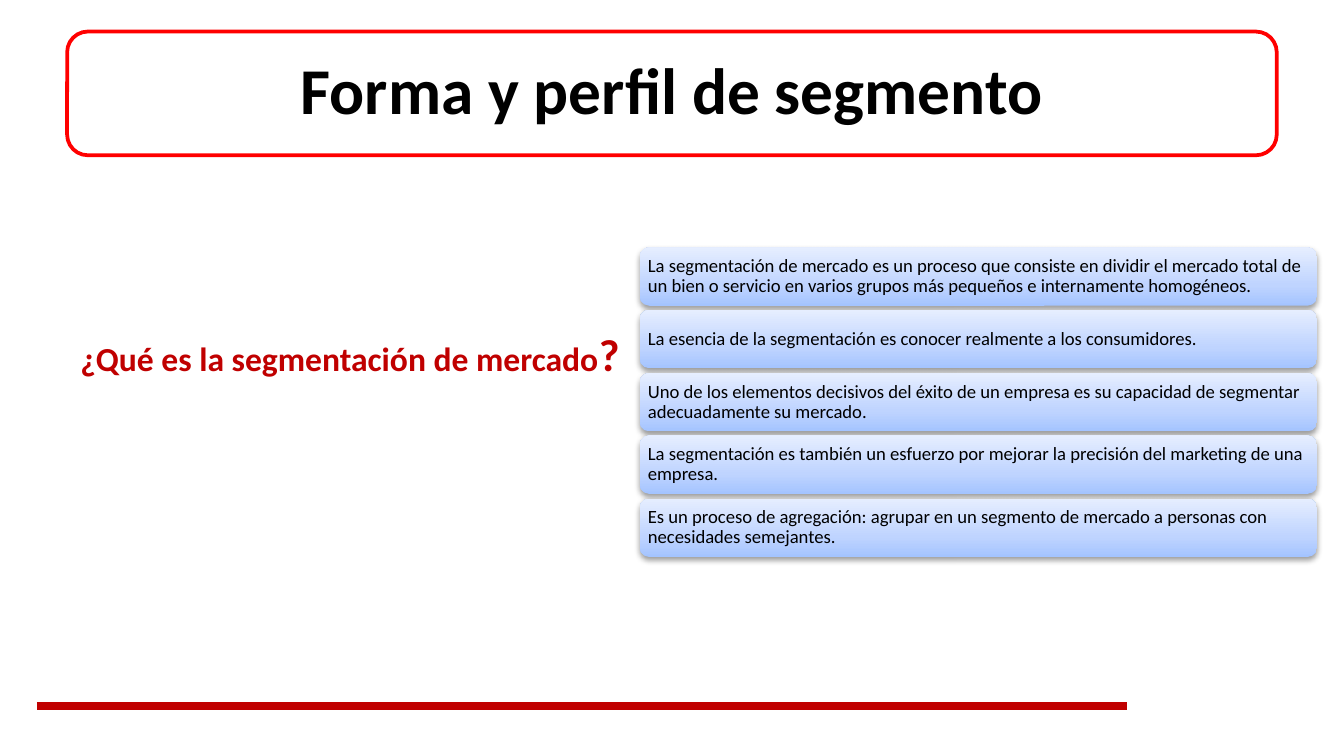
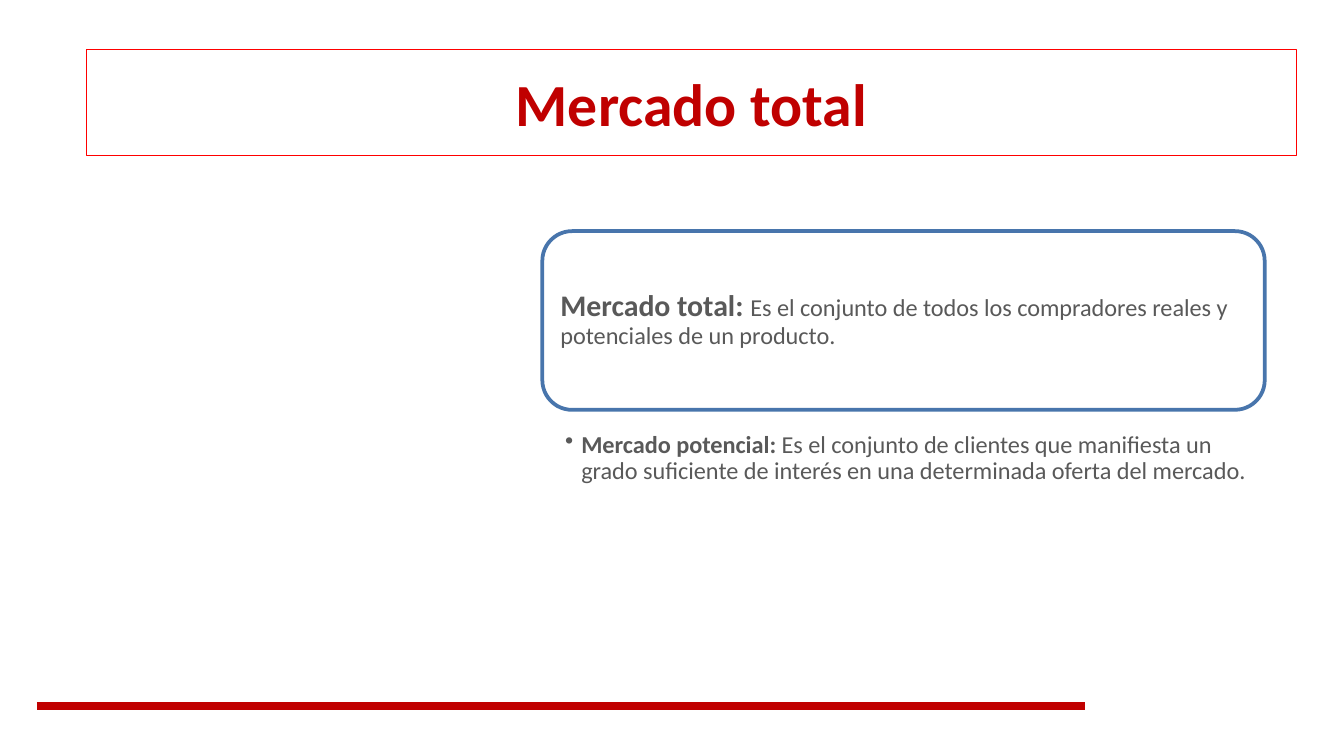
"""Build two slides on market segmentation."""
from dataclasses import dataclass

from lxml.etree import SubElement
from pptx import Presentation
from pptx.dml.color import RGBColor
from pptx.enum.shapes import MSO_CONNECTOR, MSO_SHAPE
from pptx.enum.text import MSO_ANCHOR, MSO_AUTO_SIZE, PP_ALIGN
from pptx.oxml.ns import qn
from pptx.util import Emu, Pt


@dataclass(frozen=True)
class Theme:
    font: str = "Calibri"
    black: str = "000000"
    white: str = "FFFFFF"
    gray: str = "595959"
    dark_red: str = "C00000"
    bright_red: str = "FF0000"
    blue: str = "4875AC"
    card_stops: tuple = ((0, "A4C4FF"), (35, "BFD4FF"), (100, "E6EEFF"))
    large_title: int = 35
    title: int = 32
    question_mark: int = 24
    question: int = 18
    lead: int = 16
    body: int = 13
    card: int = 10


theme = Theme()
EMU_PER_PX = 4572


def px(*lengths):
    return [Emu(length * EMU_PER_PX) for length in lengths]


def write_text(shape, *pieces, color=theme.black, align=PP_ALIGN.LEFT,
               anchor=MSO_ANCHOR.MIDDLE, spacing=0.9, margins=(20, 10, 20, 10)):
    frame = shape.text_frame
    frame.auto_size = MSO_AUTO_SIZE.NONE
    frame.word_wrap = True
    frame.vertical_anchor = anchor
    (frame.margin_left, frame.margin_top,
     frame.margin_right, frame.margin_bottom) = px(*margins)
    paragraph = frame.paragraphs[0]
    paragraph.alignment = align
    paragraph.line_spacing = spacing
    for text, size, bold in pieces:
        run = paragraph.add_run()
        run.text = text
        run.font.name = theme.font
        run.font.size = Pt(size)
        run.font.bold = bold
        run.font.color.rgb = RGBColor.from_string(color)
    return paragraph


presentation = Presentation()
presentation.slide_width, presentation.slide_height = px(2000, 1125)

slides = []
for footer_end in (1677, 1614):
    slide = presentation.slides.add_slide(presentation.slide_layouts[5])
    footer = slide.shapes.add_connector(
        MSO_CONNECTOR.STRAIGHT, *px(55, 1051, footer_end, 1051))
    footer.line.color.rgb = RGBColor.from_string(theme.dark_red)
    footer.line.width = Pt(4.5)
    SubElement(footer._element.spPr, qn("a:effectLst"))
    slides.append(slide)
segment_slide, market_slide = slides

frames = []
for slide, bounds, color in (
    (segment_slide, (100, 47, 1800, 184), theme.bright_red),
    (market_slide, (807, 344, 1075, 266), theme.blue),
):
    rounded_frame = slide.shapes.add_shape(
        MSO_SHAPE.ROUNDED_RECTANGLE, *px(*bounds))
    rounded_frame.shadow.inherit = False
    rounded_frame.fill.solid()
    rounded_frame.fill.fore_color.rgb = RGBColor.from_string(theme.white)
    rounded_frame.line.color.rgb = RGBColor.from_string(color)
    rounded_frame.line.width = Pt(2)
    frames.append(rounded_frame)
title_frame, total_frame = frames

title = segment_slide.shapes.title
title.left, title.top, title.width, title.height = px(109, 56, 1782, 166)
title_frame._element.addnext(title._element)
write_text(title, ("Forma y perfil de segmento", theme.large_title, True),
           align=PP_ALIGN.CENTER, margins=(30, 30, 30, 30))

title = market_slide.shapes.title
title.left, title.top, title.width, title.height = px(129, 74, 1800, 157)
title.line.color.rgb = RGBColor.from_string(theme.bright_red)
title.line.width = Pt(0.75)
write_text(title, ("Mercado total", theme.title, True), color=theme.dark_red,
           align=PP_ALIGN.CENTER, spacing=1.0)

question = segment_slide.shapes.add_textbox(*px(100, 476, 852, 100))
write_text(question,
           ("¿Qué es la segmentación de mercado", theme.question, True),
           ("?", theme.question_mark, True),
           color=theme.dark_red, anchor=MSO_ANCHOR.TOP, spacing=1.0,
           margins=(20, 10, 0, 10))

statements = (
    "La segmentación de mercado es un proceso que consiste en dividir el "
    "mercado total de un bien o servicio en varios grupos más pequeños e "
    "internamente homogéneos.",
    "La esencia de la segmentación es conocer realmente a los consumidores.",
    "Uno de los elementos decisivos del éxito de un empresa es su capacidad "
    "de segmentar adecuadamente su mercado.",
    "La segmentación es también un esfuerzo por mejorar la precisión del "
    "marketing de una empresa.",
    "Es un proceso de agregación: agrupar en un segmento de mercado a "
    "personas con necesidades semejantes.",
)
for index, statement in enumerate(statements):
    card = segment_slide.shapes.add_shape(
        MSO_SHAPE.ROUNDED_RECTANGLE,
        *px(952, 368 + 187 * index // 2, 1008, 87))
    card.line.fill.background()
    card.fill.gradient()
    card.fill.gradient_angle = 90
    properties = card._element.spPr
    stop_list = properties.find(".//" + qn("a:gsLst"))
    stop_list.clear()
    for position, color in theme.card_stops:
        stop = SubElement(stop_list, qn("a:gs"), pos=str(position * 1000))
        SubElement(stop, qn("a:srgbClr"), val=color)
    card.shadow.inherit = False
    shadow = SubElement(properties.find(qn("a:effectLst")), qn("a:outerShdw"),
                        blurRad="40000", dist="20000", dir="5400000",
                        rotWithShape="0")
    shadow_color = SubElement(shadow, qn("a:srgbClr"), val=theme.black)
    SubElement(shadow_color, qn("a:alpha"), val="38000")
    write_text(card, (statement, theme.card, False), margins=(8, 8, 8, 8))

write_text(total_frame,
           ("Mercado total: ", theme.lead, True),
           ("Es el conjunto de todos los compradores reales y potenciales "
            "de un producto.", theme.body, False),
           color=theme.gray, margins=(14, 14, 14, 14))

potential = market_slide.shapes.add_textbox(*px(807, 641, 1075, 206))
paragraph = write_text(
    potential,
    ("Mercado potencial: ", theme.body, True),
    ("Es el conjunto de clientes que manifiesta un grado suficiente de "
     "interés en una determinada oferta del mercado.", theme.body, False),
    color=theme.gray, anchor=MSO_ANCHOR.TOP, margins=(34, 2, 12, 2))
paragraph_properties = paragraph._p.get_or_add_pPr()
indent = 24 * EMU_PER_PX
paragraph_properties.set("marL", str(indent))
paragraph_properties.set("indent", str(-indent))
SubElement(paragraph_properties, qn("a:buChar"), char="•")

presentation.save("out.pptx")
